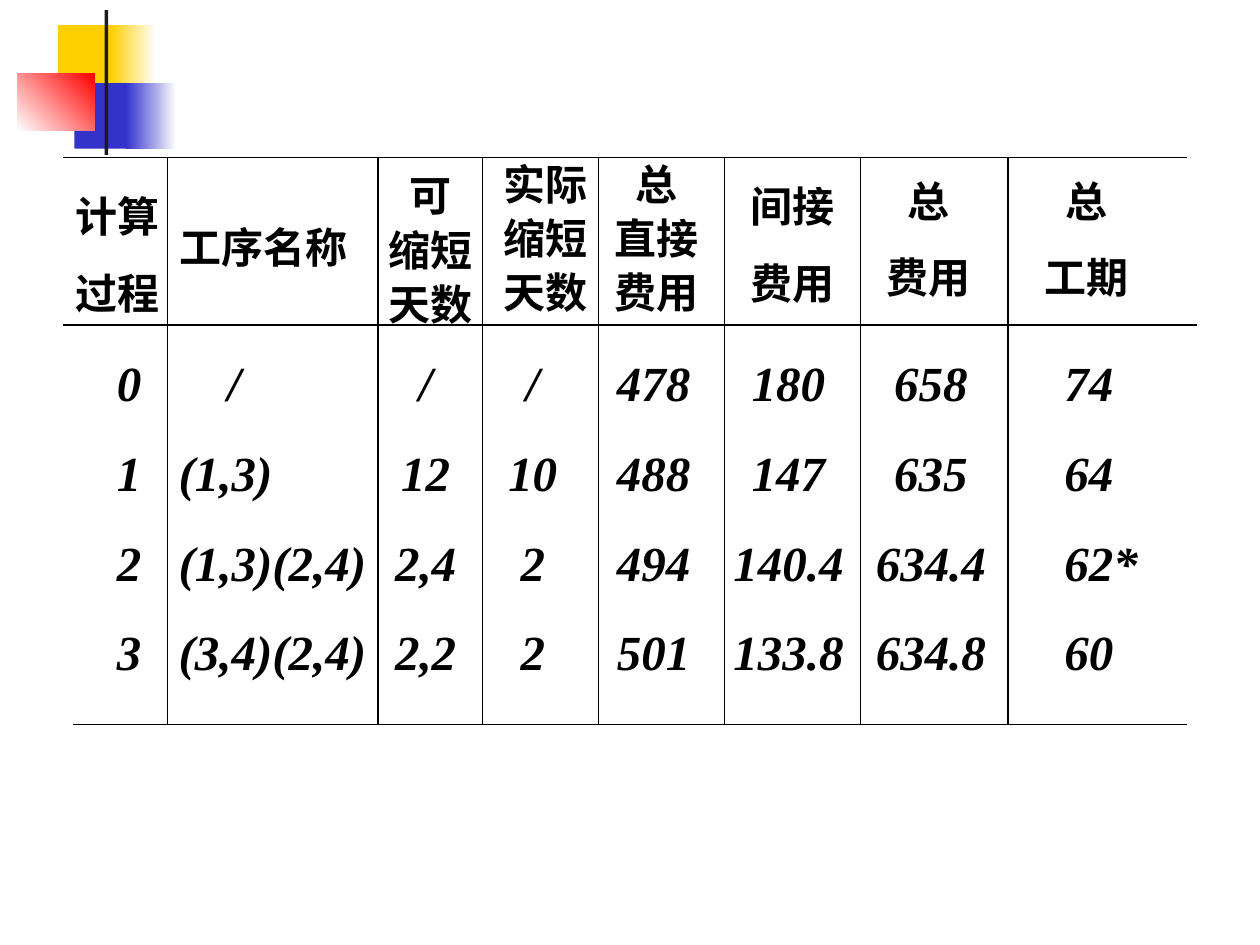
"""Build a slide with a ruled crash-schedule cost table and a block ornament."""
from lxml.etree import SubElement
from pptx import Presentation
from pptx.dml.color import RGBColor
from pptx.enum.shapes import MSO_CONNECTOR, MSO_SHAPE
from pptx.enum.text import PP_ALIGN
from pptx.oxml.ns import qn
from pptx.util import Inches, Pt

BLACK = RGBColor(0x00, 0x00, 0x00)
WHITE = RGBColor(0xFF, 0xFF, 0xFF)
YELLOW = RGBColor(0xFF, 0xCF, 0x01)
BLUE = RGBColor(0x33, 0x33, 0xCC)
RED = RGBColor(0xFF, 0x00, 0x00)
CHARCOAL = RGBColor(0x1C, 0x1C, 0x1C)

TOP, BOTTOM = 1.25, 5.75
HORIZONTAL_RULES = [(0.5, 9.42, TOP), (0.5, 9.5, 2.58), (0.58, 9.42, BOTTOM)]
COLUMN_RULES = [1.33, 3, 3.83, 4.75, 5.75, 6.83, 8]

LEFT, CENTER = PP_ALIGN.LEFT, PP_ALIGN.CENTER
WRAPPED, STACKED, TIGHT = (44, 44), (30, 43), (20, 31)
HEADERS = [
    ("计算过程", 0.5, 1.25, 1.17, 1.3, LEFT, WRAPPED),
    ("工序名称", 1.33, 1.5, 1.58, 0.7, LEFT, WRAPPED),
    ("可\n缩短\n天数", 2.67, 1.42, 1.5, 1.18, CENTER, TIGHT),
    ("实际\n缩短\n天数", 3.58, 1.33, 1.5, 1.18, CENTER, TIGHT),
    ("总\n直接\n费用", 4.75, 1.33, 0.92, 1.18, CENTER, TIGHT),
    ("间接费用", 5.75, 1.17, 1.08, 1.3, CENTER, WRAPPED),
    ("总\n费用", 6.83, 1.33, 1.08, 1.11, CENTER, STACKED),
    ("总\n工期", 8.08, 1.33, 1.08, 1.11, CENTER, STACKED),
]
ROWS = [
    ["0", "/", "/", "/", "478", "180", "658", "74"],
    ["1", "(1,3)", "12", "10", "488", "147", "635", "64"],
    ["2", "(1,3)(2,4)", "2,4", "2", "494", "140.4", "634.4", "62*"],
    ["3", "(3,4)(2,4)", "2,2", "2", "501", "133.8", "634.8", "60"],
]
STOPS = [(1.42, "l"), (3.38, "ctr"), (4.23, "ctr"), (5.19, "ctr"),
         (6.26, "ctr"), (7.39, "ctr"), (8.45, "l")]
SLASH_STOP = (1.86, "ctr")


class SlideBuilder:
    """Hold the style and the current slide."""

    font = "Times New Roman"
    header_size = Pt(24)
    body_size = Pt(28)
    inset = 0.1

    def __init__(self, slide):
        self.slide = slide

    def block(self, x, y, w, h, color, fade=None, angle=0):
        """Add a borderless rectangle, solid or fading to a second colour."""
        sp = self.slide.shapes.add_shape(
            MSO_SHAPE.RECTANGLE, Inches(x), Inches(y), Inches(w), Inches(h))
        sp.shadow.inherit = False
        sp.line.fill.background()
        if fade is None:
            sp.fill.solid()
            sp.fill.fore_color.rgb = color
        else:
            sp.fill.gradient()
            sp.fill.gradient_angle = angle
            for stop, rgb in zip(sp.fill.gradient_stops, (color, fade)):
                stop.color.rgb = rgb

    def rule(self, x1, y1, x2, y2):
        """Add a thin straight line."""
        line = self.slide.shapes.add_connector(
            MSO_CONNECTOR.STRAIGHT, Inches(x1), Inches(y1), Inches(x2), Inches(y2))
        line.line.color.rgb = BLACK
        line.line.width = Pt(1)
        SubElement(line._element.spPr, qn("a:effectLst"))

    def text_box(self, text, x, y, w, h):
        """Add a wrapping text box and return its paragraphs."""
        sp = self.slide.shapes.add_textbox(
            Inches(x), Inches(y), Inches(w), Inches(h))
        tf = sp.text_frame
        tf.word_wrap = True
        tf.text = text
        return tf.paragraphs

    def style(self, p, size, italic=False):
        """Format the runs of a paragraph."""
        for r in p.runs:
            r.font.name = self.font
            r.font.size = size
            r.font.bold = True
            r.font.italic = italic
            r.font.color.rgb = BLACK

    def header(self, text, x, y, w, h, align, spacing):
        """Add a column heading with its first and following line heights."""
        first, following = spacing
        for i, p in enumerate(self.text_box(text, x, y, w, h)):
            p.alignment = align
            p.line_spacing = Pt(following if i else first)
            self.style(p, self.header_size)

    def tabbed_rows(self, rows, x, y, w, h):
        """Add the data rows, aligned by tab stops."""
        text = "\n".join("\t".join(row) for row in rows)
        for i, (p, row) in enumerate(zip(self.text_box(text, x, y, w, h), rows)):
            stops = [SLASH_STOP if row[1] == "/" else STOPS[0]] + STOPS[1:]
            p.line_spacing = Pt(33.7)
            if i:
                p.space_before = Pt(17.5)
            tabs = SubElement(p._p.get_or_add_pPr(), qn("a:tabLst"))
            for position, align in stops:
                offset = Inches(position - x - self.inset)
                SubElement(tabs, qn("a:tab"), pos=str(offset), algn=align)
            self.style(p, self.body_size, italic=True)


def main():
    prs = Presentation()
    prs.slide_width, prs.slide_height = Inches(10), Inches(7.5)
    s = SlideBuilder(prs.slides.add_slide(prs.slide_layouts[6]))
    s.block(0.46, 0.2, 0.48, 0.52, YELLOW)
    s.block(0.88, 0.2, 0.36, 0.52, YELLOW, WHITE)
    s.block(0.59, 0.66, 0.46, 0.52, BLUE)
    s.block(1, 0.66, 0.4, 0.52, BLUE, WHITE)
    s.block(0.14, 0.58, 0.61, 0.46, WHITE, RED, 45)
    s.block(0.83, 0.08, 0.03, 1.15, CHARCOAL)
    for left, right, y in HORIZONTAL_RULES:
        s.rule(left, y, right, y)
    for x in COLUMN_RULES:
        s.rule(x, TOP, x, BOTTOM)
    s.tabbed_rows(ROWS, 0.83, 2.75, 9, 2.7)
    for header in HEADERS:
        s.header(*header)
    prs.save("out.pptx")


if __name__ == "__main__":
    main()
